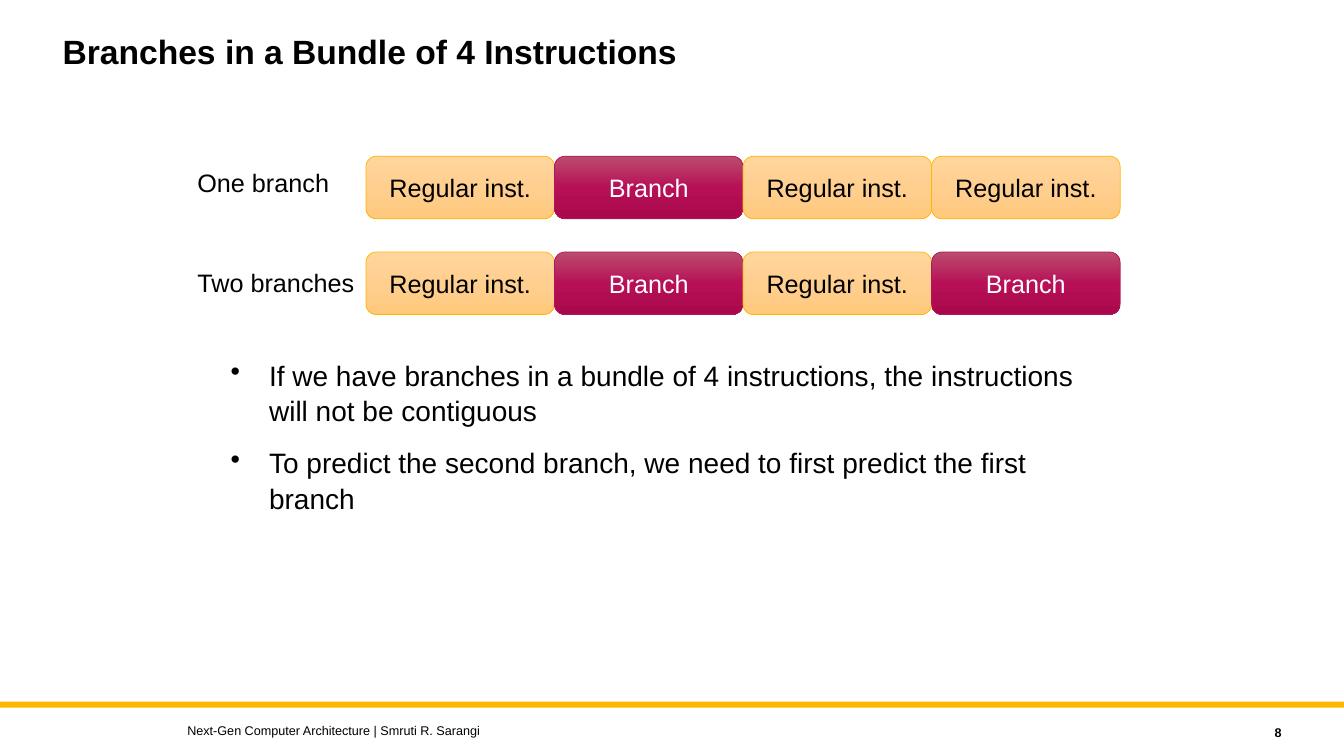
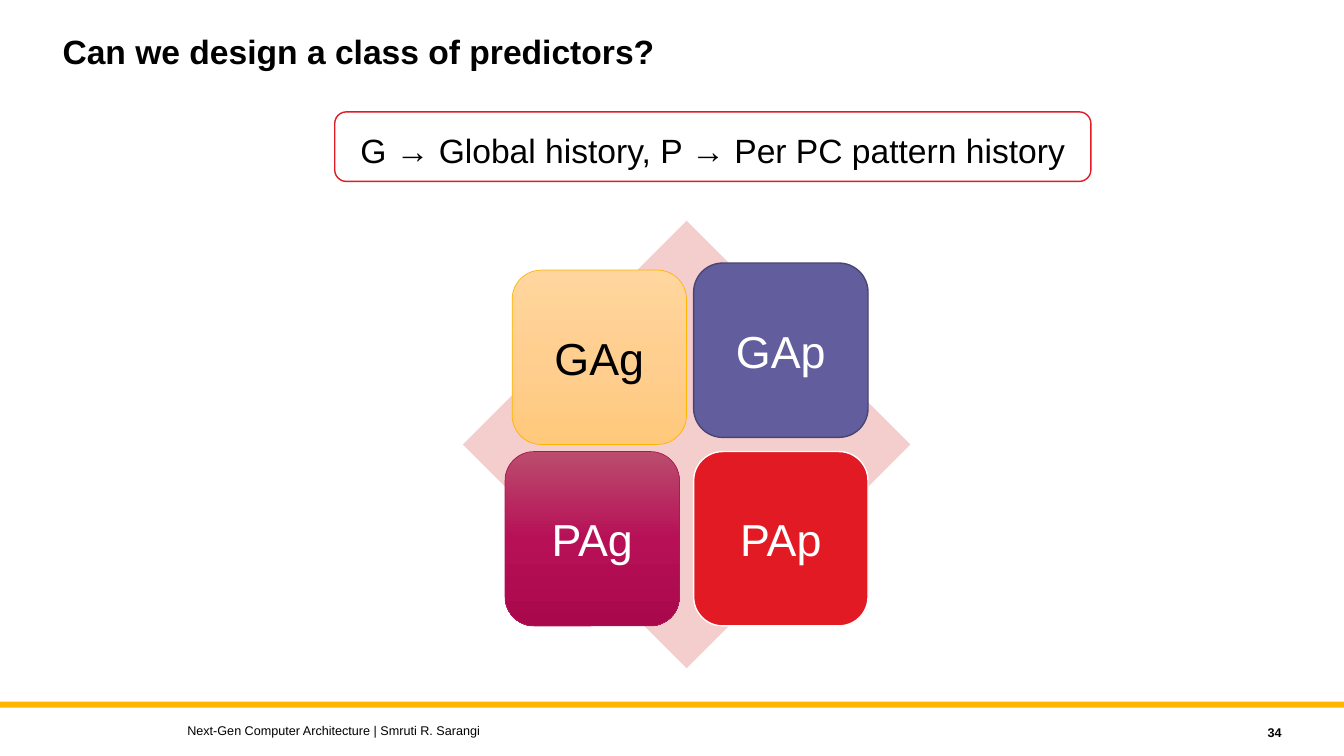
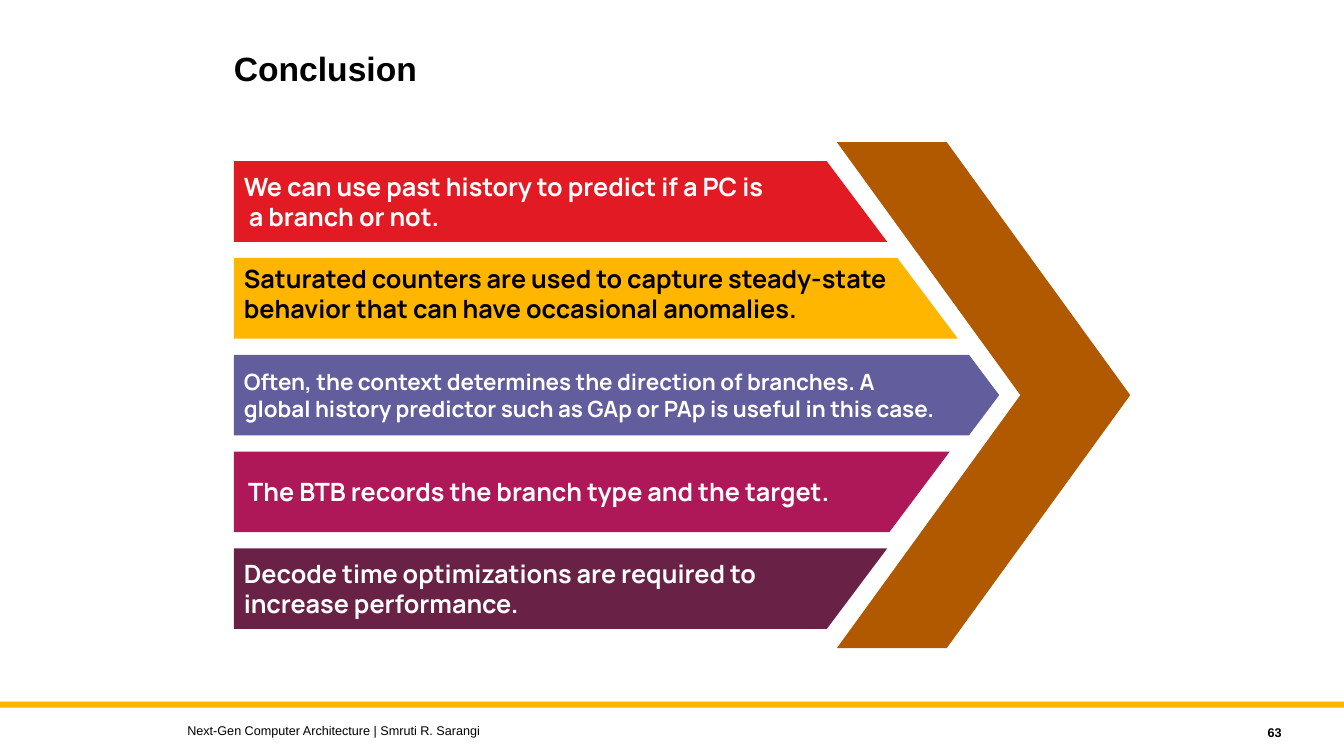
from copy import deepcopy

from lxml import etree
from pptx import Presentation
from pptx import util as u
from pptx.dml.color import RGBColor
from pptx.enum import shapes, text
from pptx.oxml.ns import qn

PX = 9144  # 100 px to the inch
WIDTH, HEIGHT = 1333, 750

BLACK, WHITE = "000000", "FFFFFF"
RED, YELLOW, VIOLET = "E21A23", "FFB600", "625D9C"
MAGENTA, PLUM, BROWN, PINK = "AF1858", "692146", "B15900", "F4CDCD"
PEACH_FADE = ("FFD69E", "FFCF90", "FFC97C")
MAGENTA_FADE = ("BA4D6E", "B71057", "A9084C")

FOOTER = "Next-Gen Computer Architecture | Smruti R. Sarangi"
LEFT, CENTER, RIGHT = text.PP_ALIGN.LEFT, text.PP_ALIGN.CENTER, text.PP_ALIGN.RIGHT
TOP, MIDDLE = text.MSO_ANCHOR.TOP, text.MSO_ANCHOR.MIDDLE
RECT = shapes.MSO_SHAPE.RECTANGLE
ROUND = shapes.MSO_SHAPE.ROUNDED_RECTANGLE
DIAMOND = shapes.MSO_SHAPE.DIAMOND

# fill, line colour, line width, text colour
PEACH_STYLE = (PEACH_FADE, YELLOW, 0.5, BLACK)
MAGENTA_STYLE = (MAGENTA_FADE, MAGENTA, 0.5, WHITE)
INSTRUCTION_STYLES = {"Regular inst.": PEACH_STYLE, "Branch": MAGENTA_STYLE}

# label, label top, instructions
BUNDLES = [
    ("One branch", 161, ["Regular inst.", "Branch", "Regular inst.", "Regular inst."]),
    ("Two branches", 260, ["Regular inst.", "Branch", "Regular inst.", "Branch"]),
]
BUNDLE_POINTS = [
    "If we have branches in a bundle of 4 instructions, the instructions will not be contiguous",
    "To predict the second branch, we need to first predict the first branch",
]

LEGEND = "G → Global history, P → Per PC pattern history"
# name, left, top, style
PREDICTORS = [
    ("GAg", 508, 268, PEACH_STYLE),
    ("GAp", 688, 261, (VIOLET, "494573", 1, WHITE)),
    ("PAg", 501, 448, MAGENTA_STYLE),
    ("PAp", 688, 448, (RED, WHITE, 1, WHITE)),
]

# text, fill, right edge from top to bottom, text format
CONCLUSIONS = [
    ("We can use past history to predict if a PC is\v a branch or not.",
     RED, (820, 880), {}),
    ("Saturated counters are used to capture steady-state behavior that can have "
     "occasional anomalies.",
     YELLOW, (890, 950), {"color": BLACK, "insets": (10, 5, 10, 14)}),
    ("Often, the context determines the direction of branches. A\v"
     "global history predictor such as GAp or PAp is useful in this case.",
     VIOLET, (961, 991, 961), {"size": 16}),
    ("The BTB records the branch type and the target.",
     MAGENTA, (942, 882), {"insets": (14, 5, 10, 5)}),
    ("Decode time optimizations are required to\vincrease performance.",
     PLUM, (880, 820), {}),
]
CHEVRON = [(830, 141), (939, 141), (1121, 392), (939, 643), (830, 643), (1012, 392)]


def rgb(color):
    return RGBColor.from_string(color)


def box(*lengths):
    return [u.Emu(n * PX) for n in lengths]


def write(sp, content, size=18, color=BLACK, bold=False, font="Arial", align=LEFT,
          anchor=TOP, insets=(10, 5, 10, 5), wrap=True, spacing=None, before=0,
          bullet=None):
    """Fill a shape with one paragraph, or with a list of them."""
    tf = sp.text_frame
    tf.auto_size = text.MSO_AUTO_SIZE.NONE
    tf.word_wrap = wrap
    tf.vertical_anchor = anchor
    tf.margin_left, tf.margin_top, tf.margin_right, tf.margin_bottom = box(*insets)
    for i, line in enumerate([content] if isinstance(content, str) else content):
        p = tf.add_paragraph() if i else tf.paragraphs[0]
        p.text = line
        p.alignment = align
        p.space_before = u.Pt(before if i else 0)
        if spacing:
            p.line_spacing = spacing
        if bullet:
            pPr = p._p.get_or_add_pPr()
            pPr.set("marL", str(38 * PX))
            pPr.set("indent", str(-38 * PX))
            etree.SubElement(pPr, qn("a:buChar")).set("char", bullet)
        for r in p.runs:
            r.font.size, r.font.bold, r.font.name = u.Pt(size), bold, font
            r.font.color.rgb = rgb(color)


def paint(sp, fill, line=None, width=1):
    """Set a plain fill, or a top-down fade from a tuple of colours, and the outline."""
    sp.shadow.inherit = False
    if isinstance(fill, str):
        sp.fill.solid()
        sp.fill.fore_color.rgb = rgb(fill)
    else:
        sp.fill.gradient()
        sp.fill.gradient_angle = 270
        stops = sp._element.spPr.find(".//" + qn("a:gsLst"))
        stops.insert(1, deepcopy(stops[0]))
        for i, (stop, color) in enumerate(zip(sp.fill.gradient_stops, fill)):
            stop.position = i / (len(fill) - 1)
            stop.color.rgb = rgb(color)
    if line:
        sp.line.color.rgb = rgb(line)
        sp.line.width = u.Pt(width)
    else:
        sp.line.fill.background()


def add_shape(s, kind, place, fill, line=None, width=1):
    sp = s.shapes.add_shape(kind, *box(*place))
    paint(sp, fill, line, width)
    return sp


def add_tile(s, label, place, style, size):
    fill, line, width, color = style
    sp = add_shape(s, ROUND, place, fill, line, width)
    write(sp, label, size=size, color=color, align=CENTER, anchor=MIDDLE)


def add_outline(s, points, fill):
    builder = s.shapes.build_freeform(*points[0], scale=PX)
    builder.add_line_segments(points[1:], close=True)
    sp = builder.convert_to_shape()
    paint(sp, fill)
    return sp


def add_text(s, place, content, **fmt):
    write(s.shapes.add_textbox(*box(*place)), content, **fmt)


def add_slide(prs, title, number, title_place=(52, 30, 1000, 90)):
    """Add a slide with the title, band and footer that all slides share."""
    s = prs.slides.add_slide(prs.slide_layouts[5])
    add_shape(s, RECT, (0, 696, WIDTH, 6), YELLOW)
    head = s.shapes.title
    head.left, head.top, head.width, head.height = box(*title_place)
    write(head, title, size=24, bold=True, spacing=0.9)
    add_text(s, (176, 712, 800, 25), FOOTER, size=9, anchor=MIDDLE)
    add_text(s, (1141, 714, 140, 25), str(number), size=9, bold=True,
             align=RIGHT, anchor=MIDDLE)
    return s


def bundle_slide(prs):
    s = add_slide(prs, "Branches in a Bundle of 4 Instructions", 8)
    left, top, w, h, pitch = 363, 155, 187, 62, 95
    for row, (label, label_top, instructions) in enumerate(BUNDLES):
        add_text(s, (186, label_top, 177, 40), label, wrap=False)
        for col, name in enumerate(instructions):
            add_tile(s, name, (left + col * w, top + row * pitch, w, h),
                     INSTRUCTION_STYLES[name], 18)
    add_text(s, (219, 349, 878, 164), BUNDLE_POINTS, size=20, before=12,
             spacing=1.05, bullet="•")


def predictor_slide(prs):
    s = add_slide(prs, "Can we design a class of predictors?", 34)
    legend = add_shape(s, ROUND, (332, 111, 750, 69), WHITE, RED)
    write(legend, LEGEND, size=24, align=CENTER, anchor=MIDDLE,
          insets=(10, 12, 10, 5), wrap=False)
    add_shape(s, DIAMOND, (459, 219, 444, 444), PINK)
    for name, left, top, style in PREDICTORS:
        add_tile(s, name, (left, top, 173, 173), style, 32)


def conclusion_slide(prs):
    s = add_slide(prs, "Conclusion", 63, (222, 47, 750, 90))
    add_outline(s, CHEVRON, BROWN)
    left, first_top, h, pitch = 232, 160, 80, 96
    for i, (content, fill, edge, fmt) in enumerate(CONCLUSIONS):
        top = first_top + i * pitch
        right = [(x, top + h * k // (len(edge) - 1)) for k, x in enumerate(edge)]
        bar = add_outline(s, [(left, top), *right, (left, top + h)], fill)
        write(bar, content, **{"color": WHITE, "bold": True, "font": "Manrope",
                               "anchor": MIDDLE, **fmt})


def main():
    prs = Presentation()
    prs.slide_width, prs.slide_height = box(WIDTH, HEIGHT)
    bundle_slide(prs)
    predictor_slide(prs)
    conclusion_slide(prs)
    prs.save("out.pptx")


if __name__ == "__main__":
    main()
